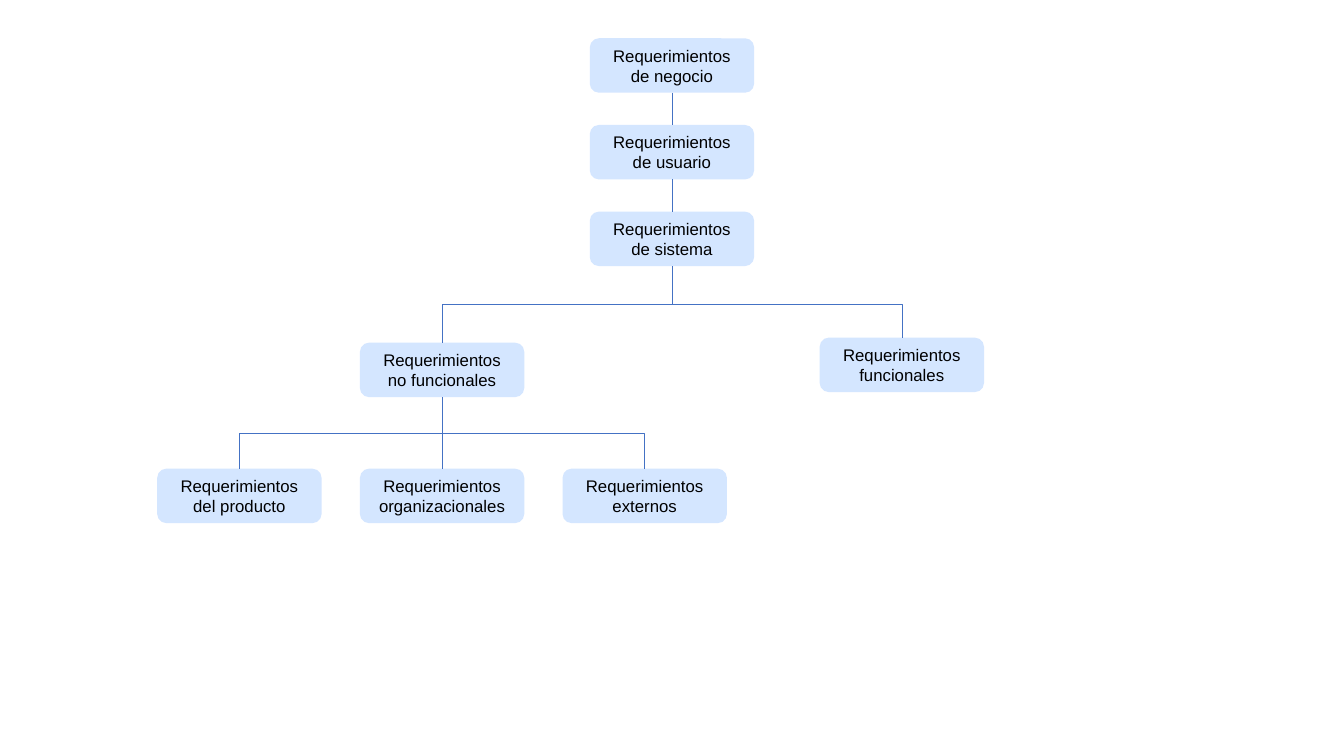
from dataclasses import dataclass

from lxml.etree import SubElement
from pptx import Presentation
from pptx.dml.color import RGBColor
from pptx.enum.shapes import MSO_CONNECTOR as Link, MSO_SHAPE as Shape
from pptx.enum.text import MSO_ANCHOR as Anchor, PP_ALIGN as Align
from pptx.oxml.ns import qn
from pptx.util import Inches, Pt


@dataclass(frozen=True)
class Theme:
    """Colours, type and box sizes of the diagram."""
    box: RGBColor = RGBColor(0xD4, 0xE6, 0xFF)
    line: RGBColor = RGBColor(0x44, 0x72, 0xC4)
    ink: RGBColor = RGBColor(0, 0, 0)
    font: str = "Arial"
    size: float = 12
    line_width: float = 0.5
    box_width: float = 1.63
    box_height: float = 0.54


def write(frame, text, *, font, size, color, align=Align.CENTER, anchor=Anchor.MIDDLE):
    """Put formatted text into a text frame."""
    frame.word_wrap = True
    frame.vertical_anchor = anchor
    paragraph = frame.paragraphs[0]
    paragraph.alignment = align
    run = paragraph.add_run()
    run.text = text
    run.font.name = font
    run.font.size = Pt(size)
    run.font.color.rgb = color


class Tree:
    """Draws requirement boxes and the links between them."""

    def __init__(self, slide, theme):
        """Keep the slide and its style."""
        self.shapes, self.theme = slide.shapes, theme

    def box(self, text, left, top):
        """Add one rounded box."""
        theme = self.theme
        box = self.shapes.add_shape(
            Shape.ROUNDED_RECTANGLE, Inches(left), Inches(top),
            Inches(theme.box_width), Inches(theme.box_height))
        box.shadow.inherit = False
        box.fill.solid()
        box.fill.fore_color.rgb = theme.box
        box.line.fill.background()
        write(box.text_frame, text, font=theme.font, size=theme.size, color=theme.ink)
        return box

    def link(self, parent, child, bend=0.5):
        """Join the bottom of a parent to the top of its child."""
        straight = parent.left == child.left
        link = self.shapes.add_connector(Link.STRAIGHT if straight else Link.ELBOW, 0, 0, 0, 0)
        link.begin_connect(parent, 2)
        link.end_connect(child, 0)
        link.line.color.rgb = self.theme.line
        link.line.width = Pt(self.theme.line_width)
        properties = link._element.spPr
        SubElement(properties, qn("a:effectLst"))
        if not straight:
            self.stand(link, child.left > parent.left, bend)

    def stand(self, link, rightward, bend):
        """Turn an elbow so that it leaves and arrives vertically."""
        width, height = link.width, link.height
        link.left += (width - height) // 2
        link.top += (height - width) // 2
        link.width, link.height = height, width
        properties = link._element.spPr
        frame = properties.find(qn("a:xfrm"))
        frame.set("rot", "16200000" if rightward else "5400000")
        frame.set("flipH", "1" if rightward else "0")
        geometry = properties.find(qn("a:prstGeom"))
        adjustments = geometry.find(qn("a:avLst"))
        if adjustments is None:
            adjustments = SubElement(geometry, qn("a:avLst"))
        SubElement(adjustments, qn("a:gd"), name="adj1", fmla=f"val {round(bend * 100000)}")


deck = Presentation()
deck.slide_width, deck.slide_height = Inches(13.33), Inches(7.5)
tree = Tree(deck.slides.add_slide(deck.slide_layouts[6]), Theme())

trunk_left, trunk_top, level_step = 5.85, 0.38, 0.86
branch_step, leaf_step, leaf_top = 2.28, 2.01, 4.65
nonfunctional_left = trunk_left - branch_step

business, user, system = [
    tree.box(f"Requerimientos de {level}", trunk_left, trunk_top + row * level_step)
    for row, level in enumerate(("negocio", "usuario", "sistema"))]
nonfunctional = tree.box("Requerimientos no funcionales", nonfunctional_left, 3.4)
functional = tree.box("Requerimientos funcionales", trunk_left + branch_step, 3.35)
leaves = [
    tree.box(f"Requerimientos {kind}", nonfunctional_left + column * leaf_step, leaf_top)
    for column, kind in enumerate(("del producto", "organizacionales", "externos"), -1)]

tree.link(business, user)
tree.link(user, system)
tree.link(system, nonfunctional)
tree.link(system, functional, bend=0.53)
for leaf in leaves:
    tree.link(nonfunctional, leaf)

deck.save("out.pptx")
